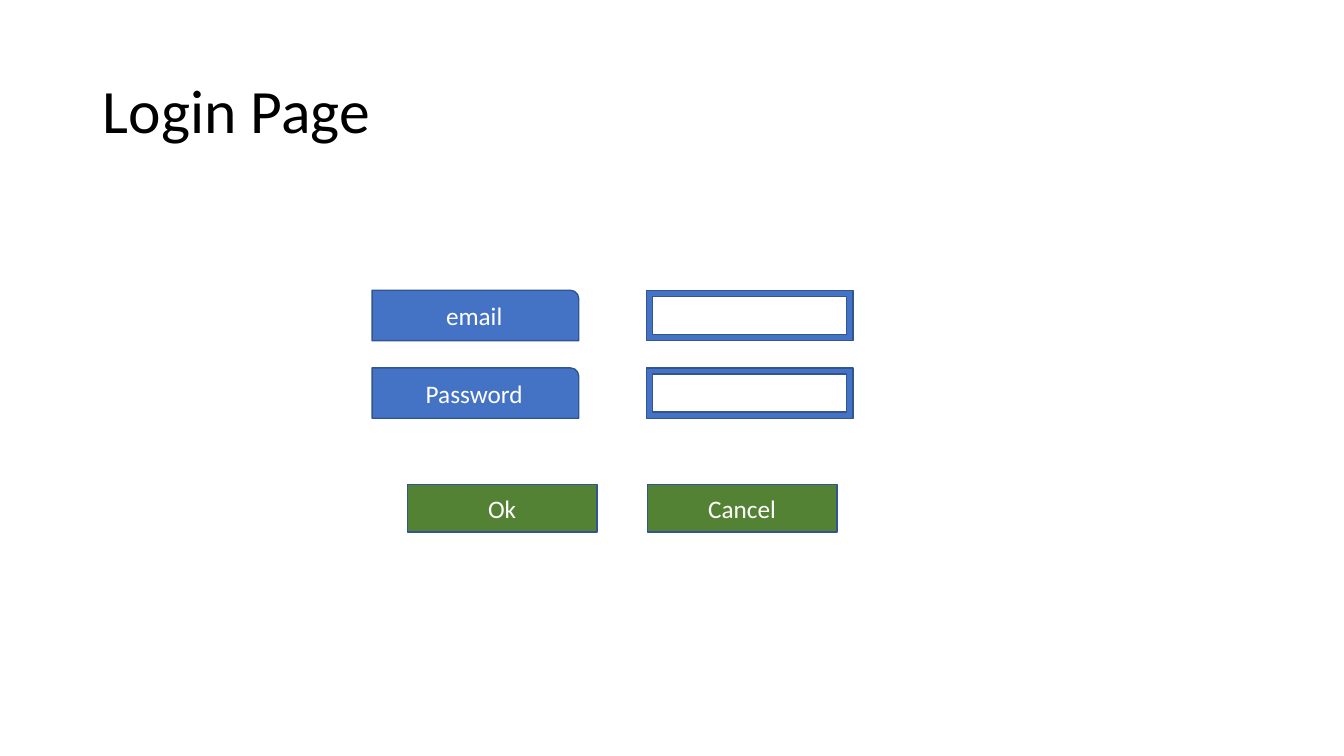
from pptx import Presentation
from pptx.dml.color import RGBColor
from pptx.enum.shapes import MSO_SHAPE
from pptx.enum.text import MSO_ANCHOR, PP_ALIGN
from pptx.util import Inches, Pt

RECT = MSO_SHAPE.RECTANGLE
LABEL = MSO_SHAPE.ROUND_1_RECTANGLE
FRAME = MSO_SHAPE.FRAME
MIDDLE = MSO_ANCHOR.MIDDLE
LEFT, CENTER = PP_ALIGN.LEFT, PP_ALIGN.CENTER
BLUE, GREEN, EDGE = "4472C4", "548235", "325491"


def paint(color):
    """Turn a hex string into a colour."""
    return RGBColor.from_string(color)


def write(shape, text, size=18, color="FFFFFF", align=CENTER, space=1.0):
    """Put formatted text in a shape."""
    frame = shape.text_frame
    frame.word_wrap = True
    frame.vertical_anchor = MIDDLE
    para = frame.paragraphs[0]
    para.alignment = align
    para.line_spacing = space
    run = para.add_run()
    run.text = text
    run.font.name = "Calibri"
    run.font.size = Pt(size)
    run.font.color.rgb = paint(color)


def block(slide, kind, box, fill, text=None):
    """Add a filled, outlined shape with optional text."""
    shape = slide.shapes.add_shape(kind, *map(Inches, box))
    shape.shadow.inherit = False
    shape.fill.solid()
    shape.fill.fore_color.rgb = paint(fill)
    shape.line.color.rgb = paint(EDGE)
    shape.line.width = Pt(1)
    if text:
        write(shape, text)


def head(slide, box, text):
    """Place and format the slide title."""
    title = slide.shapes.title
    title.left, title.top, title.width, title.height = map(Inches, box)
    write(title, text, size=44, color="000000", align=LEFT, space=0.9)


def fields(slide, box, names):
    """Stack rows of a label and an entry frame."""
    left, top, width, height = box
    wide, tall = 2.05, 0.5
    step = (height - tall) / (len(names) - 1)
    for row, name in enumerate(names):
        y = top + row * step
        block(slide, FRAME, (left + width - wide, y, wide, tall), BLUE)
        block(slide, LABEL, (left, y, wide, tall), BLUE, name)


def buttons(slide, box, names):
    """Spread buttons evenly across the box."""
    left, top, width, height = box
    wide = 1.88
    step = (width - wide) / (len(names) - 1)
    for col, name in enumerate(names):
        block(slide, RECT, (left + col * step, top, wide, height), GREEN, name)


def main():
    """Build and save the login slide."""
    deck = Presentation()
    deck.slide_width, deck.slide_height = Inches(13.33), Inches(7.5)
    slide = deck.slides.add_slide(deck.slide_layouts[5])
    head(slide, (0.92, 0.4, 11.5, 1.45), "Login Page")
    fields(slide, (3.69, 2.88, 4.77, 1.27), ("email", "Password"))
    buttons(slide, (4.04, 4.81, 4.26, 0.47), ("Ok", "Cancel"))
    deck.save("out.pptx")


main()
